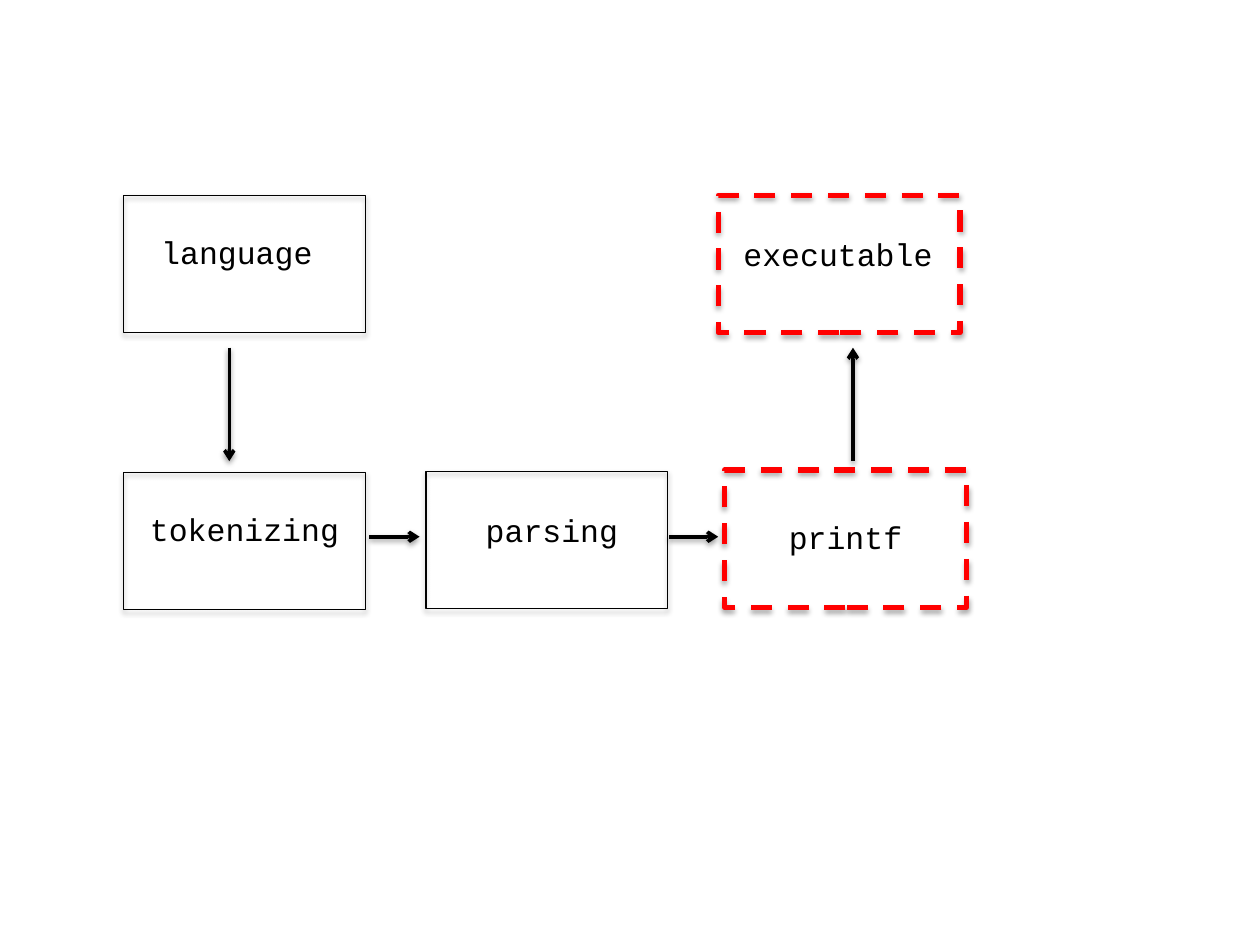
from dataclasses import dataclass

from lxml.etree import SubElement
from pptx import Presentation
from pptx.dml.color import RGBColor
from pptx.enum.dml import MSO_LINE
from pptx.enum.shapes import MSO_CONNECTOR, MSO_SHAPE
from pptx.enum.text import MSO_AUTO_SIZE, PP_ALIGN
from pptx.oxml.ns import qn
from pptx.util import Inches, Pt

COLORS = {"ink": "000000", "accent": "FF0000"}
FONT = "Courier New"
BOX_W, BOX_H, LABEL_H = 1.92, 1.09, 0.4
COLS = (0.98, 3.38, 5.7)
ROWS = (1.55, 3.74)
ARROW_Y = 4.26
GAP_TOP, GAP_BOTTOM = 2.76, 3.66


@dataclass
class Stage:
    """A box of the flow; dx and dy shift its label from the box corner."""
    text: str
    left: float
    top: float
    dx: float
    dy: float
    label_w: float = BOX_W
    dashed: bool = False


@dataclass
class Arrow:
    """A straight arrow between two points."""
    x1: float
    y1: float
    x2: float
    y2: float


STAGES = [
    Stage("language", COLS[0], ROWS[0], 0.15, 0.25, label_w=1.5),
    Stage("tokenizing", COLS[0], ROWS[1] + 0.01, 0, 0.25),
    Stage("parsing", COLS[1], ROWS[1], 0.04, 0.27),
    Stage("printf", COLS[2] + 0.05, ROWS[1] - 0.01, 0, 0.33, dashed=True),
    Stage("executable", COLS[2], ROWS[0], -0.01, 0.27, dashed=True),
]
ARROWS = [
    Arrow(1.82, GAP_TOP, 1.82, GAP_BOTTOM),
    Arrow(2.93, ARROW_Y, 3.33, ARROW_Y),
    Arrow(5.31, ARROW_Y, 5.7, ARROW_Y),
    Arrow(6.77, GAP_BOTTOM, 6.77, GAP_TOP),
]


def rgb(name: str) -> RGBColor:
    """Look up a named colour."""
    return RGBColor.from_string(COLORS[name])


def add_shadow(sp, dist: float, alpha: int) -> None:
    """Give a shape or connector a soft shadow straight below it."""
    effects = SubElement(sp._element.spPr, qn("a:effectLst"))
    shadow = SubElement(effects, qn("a:outerShdw"), blurRad=str(Pt(3.1)),
                        dist=str(Pt(dist)), dir="5400000", rotWithShape="0")
    color = SubElement(shadow, qn("a:srgbClr"), val=COLORS["ink"])
    SubElement(color, qn("a:alpha"), val=str(alpha * 1000))


def add_stage(slide, stage: Stage) -> None:
    """Draw one box and its label."""
    sp = slide.shapes.add_shape(
        MSO_SHAPE.RECTANGLE, Inches(stage.left), Inches(stage.top),
        Inches(BOX_W), Inches(BOX_H))
    sp.fill.background()
    sp.line.color.rgb = rgb("accent" if stage.dashed else "ink")
    sp.line.width = Pt(3 if stage.dashed else 0.75)
    if stage.dashed:
        sp.line.dash_style = MSO_LINE.DASH
    add_shadow(sp, 1.8, 35)

    label = slide.shapes.add_textbox(
        Inches(stage.left + stage.dx), Inches(stage.top + stage.dy),
        Inches(stage.label_w), Inches(LABEL_H))
    tf = label.text_frame
    tf.word_wrap = True
    tf.auto_size = MSO_AUTO_SIZE.SHAPE_TO_FIT_TEXT
    tf.text = stage.text
    p = tf.paragraphs[0]
    p.alignment = PP_ALIGN.CENTER
    font = p.runs[0].font
    font.name, font.size = FONT, Pt(18)
    font.color.rgb = rgb("ink")


def add_arrow(slide, arrow: Arrow) -> None:
    """Draw one arrow with an open head at its end."""
    sp = slide.shapes.add_connector(
        MSO_CONNECTOR.STRAIGHT, Inches(arrow.x1), Inches(arrow.y1),
        Inches(arrow.x2), Inches(arrow.y2))
    sp.line.color.rgb = rgb("ink")
    sp.line.width = Pt(2)
    SubElement(sp.line._get_or_add_ln(), qn("a:tailEnd"), type="arrow")
    add_shadow(sp, 1.6, 38)


def main() -> None:
    """Build the slide."""
    prs = Presentation()
    prs.slide_width, prs.slide_height = Inches(10), Inches(7.5)
    slide = prs.slides.add_slide(prs.slide_layouts[6])
    for stage in STAGES:
        add_stage(slide, stage)
    for arrow in ARROWS:
        add_arrow(slide, arrow)
    prs.save("out.pptx")


main()
